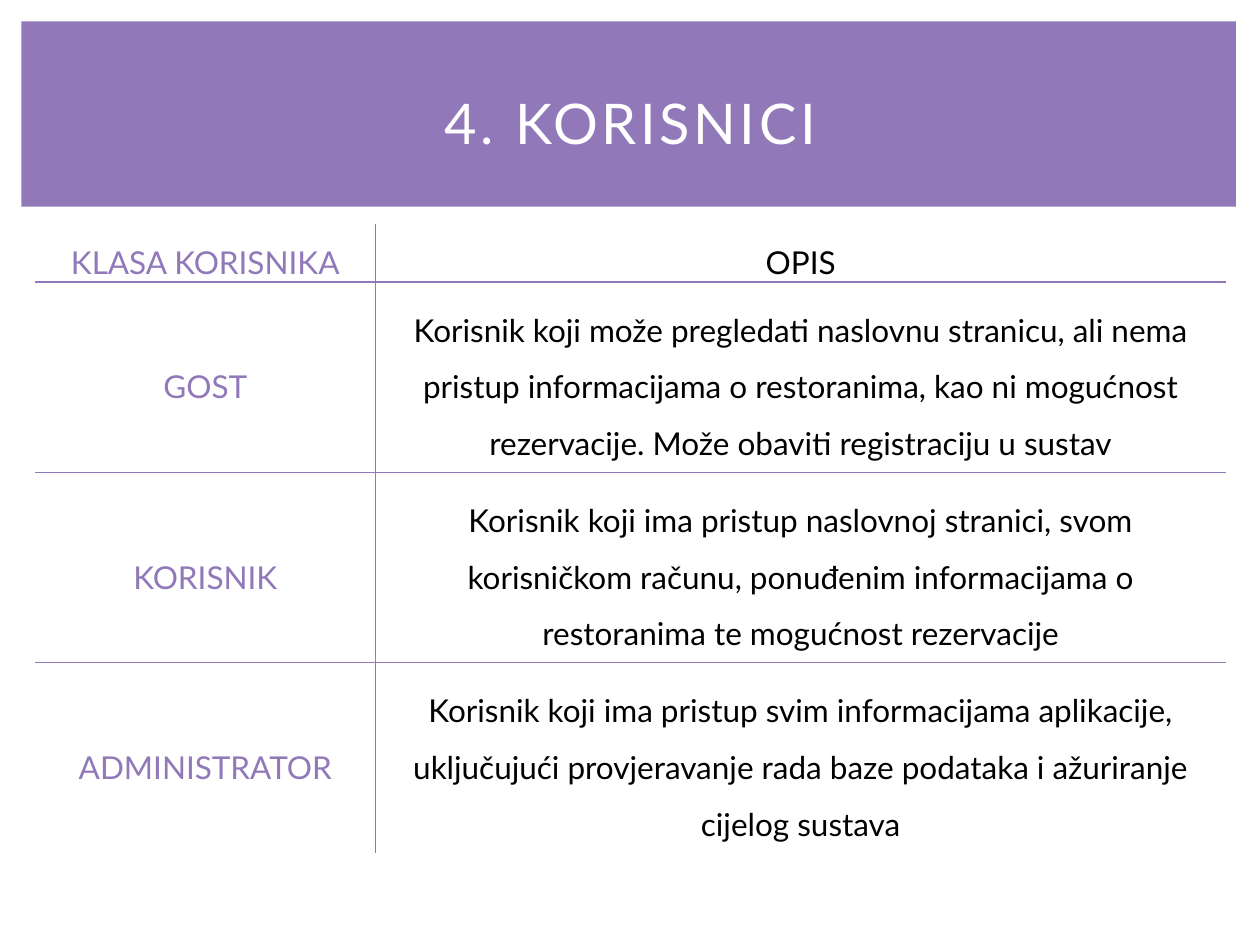
"""Build a slide that describes the user classes of an application."""
from dataclasses import dataclass

from lxml import etree
from pptx import Presentation
from pptx.dml.color import RGBColor
from pptx.enum.shapes import MSO_SHAPE
from pptx.enum.text import MSO_ANCHOR, PP_ALIGN
from pptx.oxml.ns import qn
from pptx.util import Inches, Pt

PURPLE = RGBColor(0x91, 0x79, 0xB9)
BLACK = RGBColor(0x00, 0x00, 0x00)
WHITE = RGBColor(0xFF, 0xFF, 0xFF)
RECTANGLE = MSO_SHAPE.RECTANGLE
CENTER = PP_ALIGN.CENTER
MIDDLE = MSO_ANCHOR.MIDDLE
FONT = "Lato"
TABLE_WIDTH = 9.45
COLUMN_SHARES = (2 / 7, 5 / 7)
COLUMN_COLORS = (PURPLE, BLACK)
HEADER_HEIGHT = 0.46
ROW_HEIGHT = 1.51


@dataclass(frozen=True)
class UserClass:
    """One row of the table."""
    name: str
    description: str


@dataclass(frozen=True)
class Box:
    """A position and size in inches."""
    left: float
    top: float
    width: float
    height: float

    def lengths(self) -> tuple:
        """Return the four values as slide lengths."""
        return tuple(map(Inches, (self.left, self.top, self.width, self.height)))


BANNER = Box(0.17, 0.17, 9.64, 1.47)
TITLE = Box(0.42, 0.39, 9.17, 1.15)
ROWS = (
    UserClass("KLASA KORISNIKA", "OPIS"),
    UserClass("GOST", "Korisnik koji može pregledati naslovnu stranicu, ali nema pristup "
              "informacijama o restoranima, kao ni mogućnost rezervacije. "
              "Može obaviti registraciju u sustav"),
    UserClass("KORISNIK", "Korisnik koji ima pristup naslovnoj stranici, svom korisničkom "
              "računu, ponuđenim informacijama o restoranima te mogućnost rezervacije"),
    UserClass("ADMINISTRATOR", "Korisnik koji ima pristup svim informacijama aplikacije, "
              "uključujući provjeravanje rada baze podataka i ažuriranje cijelog sustava"),
)


def style_paragraph(paragraph, size: int, color: RGBColor) -> None:
    """Centre a paragraph and set its font."""
    paragraph.alignment = CENTER
    font = paragraph.font
    font.name, font.size, font.bold = FONT, Pt(size), False
    font.color.rgb = color


def add_banner(slide) -> None:
    """Draw the coloured band behind the title."""
    banner = slide.shapes.add_shape(RECTANGLE, *BANNER.lengths())
    banner.shadow.inherit = False
    banner.fill.solid()
    banner.fill.fore_color.rgb = PURPLE
    banner.line.fill.background()


def add_title(slide, text: str) -> None:
    """Write the letter-spaced title."""
    frame = slide.shapes.add_textbox(*TITLE.lengths()).text_frame
    frame.word_wrap = True
    frame.vertical_anchor = MIDDLE
    paragraph = frame.paragraphs[0]
    paragraph.text = text
    style_paragraph(paragraph, 32, WHITE)
    paragraph.runs[0].font._element.set("spc", "200")


def set_borders(cell, visible: dict[str, bool]) -> None:
    """Draw the visible sides of a cell and clear the others."""
    properties = cell._tc.get_or_add_tcPr()
    for index, (side, shown) in enumerate(visible.items()):
        line = etree.Element(qn(f"a:ln{side}"), w=str(Pt(1)))
        if shown:
            fill = etree.SubElement(line, qn("a:solidFill"))
            etree.SubElement(fill, qn("a:srgbClr"), val=str(PURPLE))
        else:
            etree.SubElement(line, qn("a:noFill"))
        properties.insert(index, line)


def fill_cell(cell, text: str, color: RGBColor) -> None:
    """Write the text of one cell."""
    cell.fill.background()
    cell.vertical_anchor = MIDDLE
    cell.margin_left = cell.margin_right = Inches(0.07)
    cell.margin_top = cell.margin_bottom = 0
    paragraph = cell.text_frame.paragraphs[0]
    paragraph.text = text
    paragraph.line_spacing = 1.5
    style_paragraph(paragraph, 18, color)


def add_user_table(slide, rows: tuple[UserClass, ...]) -> None:
    """Add the table with lines between its cells only."""
    heights = [HEADER_HEIGHT] + [ROW_HEIGHT] * (len(rows) - 1)
    box = Box(0.28, 1.78, TABLE_WIDTH, sum(heights))
    table = slide.shapes.add_table(len(rows), len(COLUMN_SHARES), *box.lengths()).table
    table.first_row = table.horz_banding = False
    for column, share in zip(table.columns, COLUMN_SHARES):
        column.width = Inches(TABLE_WIDTH * share)
    last_row, last_column = len(rows) - 1, len(COLUMN_SHARES) - 1
    for row, (user, height) in enumerate(zip(rows, heights)):
        table.rows[row].height = Inches(height)
        for column, text in enumerate((user.name, user.description)):
            cell = table.cell(row, column)
            fill_cell(cell, text, COLUMN_COLORS[column])
            set_borders(cell, {"L": column > 0, "R": column < last_column,
                               "T": row > 0, "B": row < last_row})


def main() -> None:
    """Build and save the presentation."""
    presentation = Presentation()
    presentation.slide_width, presentation.slide_height = Inches(10), Inches(7.5)
    slide = presentation.slides.add_slide(presentation.slide_layouts[6])
    add_banner(slide)
    add_user_table(slide, ROWS)
    add_title(slide, "4. KORISNICI")
    presentation.save("out.pptx")


if __name__ == "__main__":
    main()
